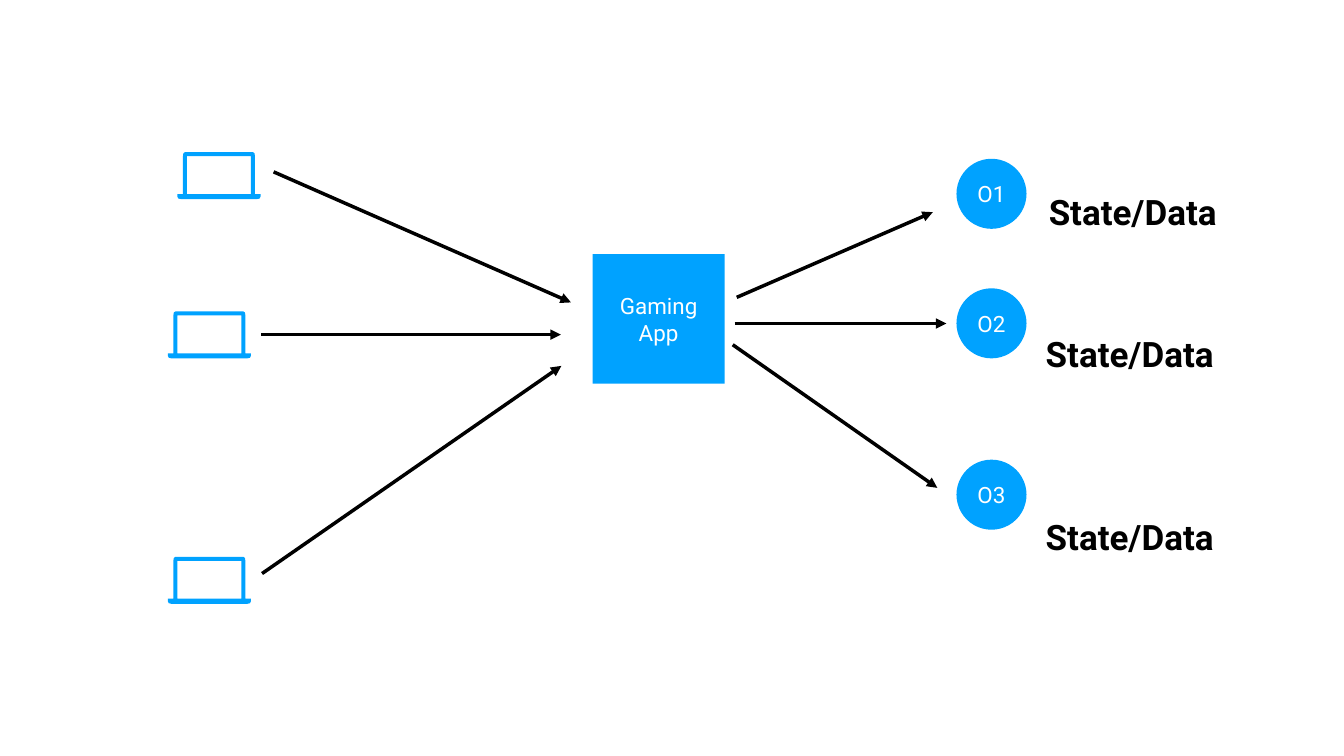
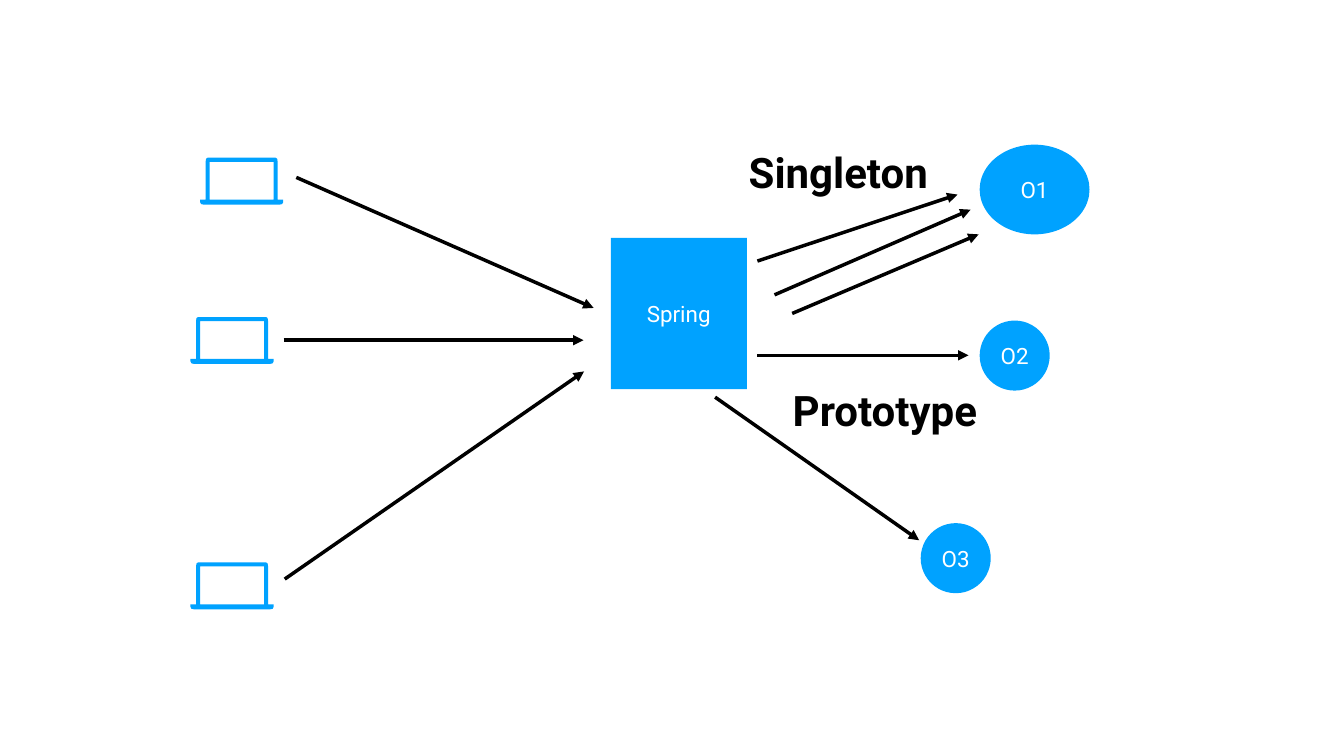
from lxml.etree import SubElement
from pptx import Presentation
from pptx.dml.color import RGBColor
from pptx.enum.shapes import MSO_CONNECTOR, MSO_SHAPE
from pptx.enum.text import MSO_ANCHOR, MSO_AUTO_SIZE, PP_ALIGN
from pptx.oxml.ns import qn
from pptx.util import Pt

EMU_PER_PX = 9144
SLIDE_WIDTH, SLIDE_HEIGHT = 2667, 1500
FONT = "Roboto"
COLORS = {"node": "00A2FF", "node_text": "FFFFFF", "ink": "000000"}
DIAMETER = 139

LAPTOP_LEFT_EDGE = [(15, 0), (12, 2), (11, 8), (11, 83), (0, 83), (0, 88), (2, 92), (7, 93)]
LAPTOP_WIDTH = 165
LAPTOP_BODY = LAPTOP_LEFT_EDGE + [(LAPTOP_WIDTH - x, y) for x, y in reversed(LAPTOP_LEFT_EDGE)]
LAPTOP_SCREEN = [(19, 8), (146, 8), (146, 83), (19, 83)]

CLIENTS = [
    ((352, 302), (543, 341), (1133, 600)),
    ((333, 618), (518, 664), (1113, 664)),
    ((333, 1105), (520, 1138), (1114, 726)),
]


def px(value):
    return value * EMU_PER_PX


def color(name):
    return RGBColor.from_string(COLORS[name])


class Diagram:
    """Draws styled diagram elements on the current slide."""

    def __init__(self):
        self.presentation = Presentation()
        self.presentation.slide_width = px(SLIDE_WIDTH)
        self.presentation.slide_height = px(SLIDE_HEIGHT)
        self.slide = None

    def add_slide(self):
        self.slide = self.presentation.slides.add_slide(self.presentation.slide_layouts[6])

    def paint(self, shape):
        shape.shadow.inherit = False
        shape.fill.solid()
        shape.fill.fore_color.rgb = color("node")
        shape.line.fill.background()

    def add_text(self, shape, lines, size, color_name, bold=False, inset=0):
        frame = shape.text_frame
        frame.vertical_anchor = MSO_ANCHOR.MIDDLE
        frame.margin_left = frame.margin_right = px(inset)
        frame.margin_top = frame.margin_bottom = px(inset)
        for index, line in enumerate(lines):
            paragraph = frame.add_paragraph() if index else frame.paragraphs[0]
            paragraph.alignment = PP_ALIGN.CENTER
            run = paragraph.add_run()
            run.text = line
            run.font.name = FONT
            run.font.size = Pt(size)
            run.font.bold = bold
            run.font.color.rgb = color(color_name)

    def node(self, kind, left, top, width, height, *lines):
        shape = self.slide.shapes.add_shape(kind, px(left), px(top), px(width), px(height))
        self.paint(shape)
        self.add_text(shape, lines, 32, "node_text")

    def application(self, left, top, width, height, *lines):
        self.node(MSO_SHAPE.RECTANGLE, left, top, width, height, *lines)

    def instance(self, name, left, top, width=DIAMETER, height=DIAMETER):
        self.node(MSO_SHAPE.OVAL, left, top, width, height, name)

    def label(self, text, left, top, width, height, size):
        box = self.slide.shapes.add_textbox(px(left), px(top), px(width), px(height))
        self.add_text(box, [text], size, "ink", bold=True, inset=6)
        box.text_frame.word_wrap = False
        box.text_frame.auto_size = MSO_AUTO_SIZE.SHAPE_TO_FIT_TEXT

    def arrow(self, start, end):
        points = [px(value) for value in (*start, *end)]
        connector = self.slide.shapes.add_connector(MSO_CONNECTOR.STRAIGHT, *points)
        connector.line.width = Pt(5)
        connector.line.color.rgb = color("ink")
        properties = connector._element.spPr
        SubElement(properties.find(qn("a:ln")), qn("a:tailEnd"), type="triangle")
        SubElement(properties, qn("a:effectLst"))

    def laptop(self, left, top):
        body, screen = (
            [(left + x, top + y) for x, y in outline] for outline in (LAPTOP_BODY, LAPTOP_SCREEN)
        )
        builder = self.slide.shapes.build_freeform(*body[0], scale=EMU_PER_PX)
        builder.add_line_segments(body[1:], close=True)
        builder.move_to(*screen[0])
        builder.add_line_segments(screen[1:], close=True)
        self.paint(builder.convert_to_shape())

    def clients(self, shift_x=0, shift_y=0):
        for places in CLIENTS:
            corner, start, end = [(x + shift_x, y + shift_y) for x, y in places]
            self.laptop(*corner)
            self.arrow(start, end)


def draw_gaming_app(diagram):
    diagram.add_slide()
    diagram.clients()
    diagram.application(1176, 504, 262, 257, "Gaming", "App")
    for number, top in enumerate((315, 572, 912), start=1):
        diagram.instance(f"O{number}", 1898, top)
    diagram.arrow((1462, 590), (1851, 421))
    diagram.arrow((1458, 642), (1878, 642))
    diagram.arrow((1454, 684), (1860, 968))
    for left, top in ((2064, 373), (2058, 654), (2058, 1018)):
        diagram.label("State/Data", left, top, 368, 94, 50)


def draw_scopes(diagram):
    diagram.add_slide()
    diagram.clients(45, 11)
    diagram.application(1212, 472, 270, 300, "Spring")
    diagram.instance("O1", 1944, 287, 218, 178)
    diagram.instance("O2", 1944, 636)
    diagram.instance("O3", 1827, 1038)
    diagram.arrow((1503, 518), (1900, 386))
    diagram.arrow((1537, 585), (1926, 416))
    diagram.arrow((1572, 622), (1942, 465))
    diagram.arrow((1503, 705), (1922, 705))
    diagram.arrow((1419, 788), (1824, 1072))
    diagram.label("Singleton", 1470, 285, 387, 111, 60)
    diagram.label("Prototype", 1555, 757, 402, 111, 60)


def main():
    diagram = Diagram()
    draw_gaming_app(diagram)
    draw_scopes(diagram)
    diagram.presentation.save("out.pptx")


if __name__ == "__main__":
    main()
